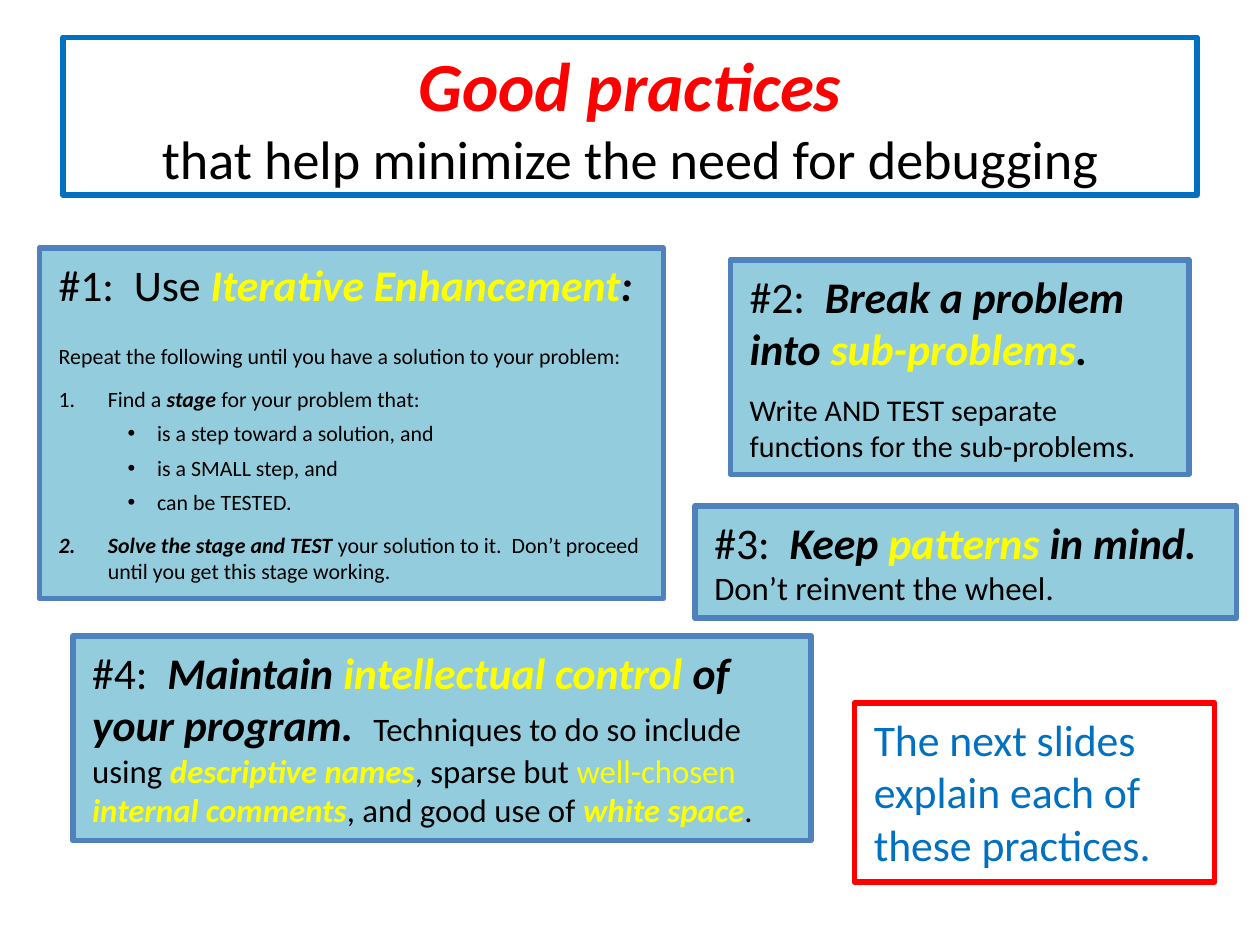
from lxml import etree
from pptx import Presentation
from pptx.dml.color import RGBColor
from pptx.enum import text
from pptx.oxml import ns
from pptx.util import Inches, Pt

RED = RGBColor(0xFF, 0x00, 0x00)
BLUE = RGBColor(0x00, 0x70, 0xC0)
BLACK = RGBColor(0x00, 0x00, 0x00)
YELLOW = RGBColor(0xFF, 0xFF, 0x00)
AQUA = RGBColor(0x93, 0xCD, 0xDD)
STEEL = RGBColor(0x4F, 0x81, 0xBD)
FONT = "Calibri"


def plain(words, size, color=BLACK):
    """Describe a run of upright text."""
    return words, size, color, False


def strong(words, size, color=BLACK):
    """Describe a run of bold italic text."""
    return words, size, color, True


def write_runs(paragraph, runs):
    """Fill a paragraph with the described runs."""
    paragraph.font.name = FONT
    for words, size, color, emphasis in runs:
        run = paragraph.add_run()
        run.text = words
        run.font.size = Pt(size)
        run.font.color.rgb = color
        run.font.bold = run.font.italic = emphasis


def set_marker(paragraph, margin, hanging, tag, **attributes):
    """Give a paragraph a hanging indent and a number or bullet."""
    properties = paragraph._p.get_or_add_pPr()
    properties.set("marL", str(Inches(margin)))
    properties.set("indent", str(-Inches(hanging)))
    marker = etree.Element(ns.qn(tag), attributes)
    defaults = properties.find(ns.qn("a:defRPr"))
    defaults.addprevious(marker)
    if tag == "a:buChar":
        marker.addprevious(etree.Element(ns.qn("a:buFont"), typeface="Arial"))


def add_heading(slide, box):
    """Frame the slide title in blue, with a large red first line."""
    title = slide.shapes.title
    title.left, title.top, title.width, title.height = map(Inches, box)
    title.line.color.rgb = BLUE
    title.line.width = Pt(2)
    frame = title.text_frame
    frame.auto_size = text.MSO_AUTO_SIZE.NONE
    frame.vertical_anchor = text.MSO_ANCHOR.MIDDLE
    frame.margin_left = frame.margin_right = Inches(0.06)
    frame.margin_top = frame.margin_bottom = Inches(0.03)
    heading = frame.paragraphs[0]
    heading.alignment = text.PP_ALIGN.CENTER
    heading.font.size = Pt(25.2)
    write_runs(heading, [strong("Good practices", 25.2, RED)])
    heading.add_line_break()
    write_runs(heading, [plain("that help minimize the need for debugging", 19.8)])


def add_panel(slide, box, contents, fill=AQUA, border=STEEL):
    """Add a bordered text panel; contents pairs space before with runs."""
    panel = slide.shapes.add_textbox(*map(Inches, box))
    if fill is not None:
        panel.fill.solid()
        panel.fill.fore_color.rgb = fill
    panel.line.color.rgb = border
    panel.line.width = Pt(2)
    frame = panel.text_frame
    frame.word_wrap = True
    frame.auto_size = text.MSO_AUTO_SIZE.SHAPE_TO_FIT_TEXT
    for index, (space, runs) in enumerate(contents):
        paragraph = frame.add_paragraph() if index else frame.paragraphs[0]
        paragraph.space_before = Pt(space)
        write_runs(paragraph, runs)
    return frame.paragraphs


def add_iterative_enhancement(slide, box):
    """Add practice 1 with its numbered steps and bulleted conditions."""
    conditions = ["is a step toward a solution, and", "is a SMALL step, and", "can be TESTED."]
    paragraphs = add_panel(slide, box, [
        (6, [plain("#1:  Use ", 16), strong("Iterative Enhancement", 16, YELLOW),
             strong(":", 16)]),
        (12, [plain("Repeat the following until you have a solution to your problem:", 8)]),
        (6, [plain("Find a ", 8), strong("stage", 8), plain(" for your problem that:", 8)]),
        *[(3, [plain(condition, 8)]) for condition in conditions],
        (6, [strong("Solve the stage and TEST", 8),
             plain(" your solution to it.  Don’t proceed until you get "
                   "this stage working.", 8)]),
    ])
    first_step, *bullets, second_step = paragraphs[2:]
    for number, step in enumerate((first_step, second_step), start=1):
        set_marker(step, 0.25, 0.25, "a:buAutoNum", type="arabicPeriod", startAt=str(number))
    for bullet in bullets:
        bullet.level = 1
        set_marker(bullet, 0.5, 0.15, "a:buChar", char="•")


def add_sub_problems(slide, box):
    """Add practice 2."""
    add_panel(slide, box, [
        (6, [plain("#2:  ", 16), strong("Break a problem into ", 16),
             strong("sub-problems", 16, YELLOW), strong(".", 16)]),
        (6, [plain("Write AND TEST separate functions for the sub-problems.", 11)]),
    ])


def add_patterns(slide, box):
    """Add practice 3."""
    add_panel(slide, box, [
        (6, [plain("#3:  ", 16), strong("Keep ", 16), strong("patterns ", 16, YELLOW),
             strong("in mind.  ", 16), plain("Don’t reinvent the wheel.", 12)]),
    ])


def add_intellectual_control(slide, box):
    """Add practice 4."""
    add_panel(slide, box, [
        (6, [plain("#4:  ", 16), strong("Maintain ", 16),
             strong("intellectual control ", 16, YELLOW), strong("of your program.  ", 16),
             plain("Techniques to do so include using ", 12),
             strong("descriptive names", 12, YELLOW), plain(", sparse but ", 12),
             plain("well-chosen ", 12, YELLOW), strong("internal comments", 12, YELLOW),
             plain(", and good use of ", 12), strong("white space", 12, YELLOW),
             plain(".", 12)]),
    ])


def add_next_slides_note(slide, box):
    """Add the red-framed pointer to the slides that follow."""
    note = plain("The next slides explain each of these practices.", 16, BLUE)
    add_panel(slide, box, [(6, [note])], fill=None, border=RED)


def main():
    """Build the slide and save it."""
    deck = Presentation()
    deck.slide_width, deck.slide_height = Inches(6.4), Inches(4.8)
    slide = deck.slides.add_slide(deck.slide_layouts.get_by_name("Title Only"))
    add_heading(slide, (0.32, 0.19, 5.76, 0.8))
    add_iterative_enhancement(slide, (0.2, 1.26, 3.17, 1.78))
    add_sub_problems(slide, (3.71, 1.32, 2.33, 1.09))
    add_patterns(slide, (3.53, 2.57, 2.75, 0.57))
    add_intellectual_control(slide, (0.37, 3.23, 3.75, 1.04))
    add_next_slides_note(slide, (4.34, 3.57, 1.83, 0.91))
    deck.save("out.pptx")


main()
